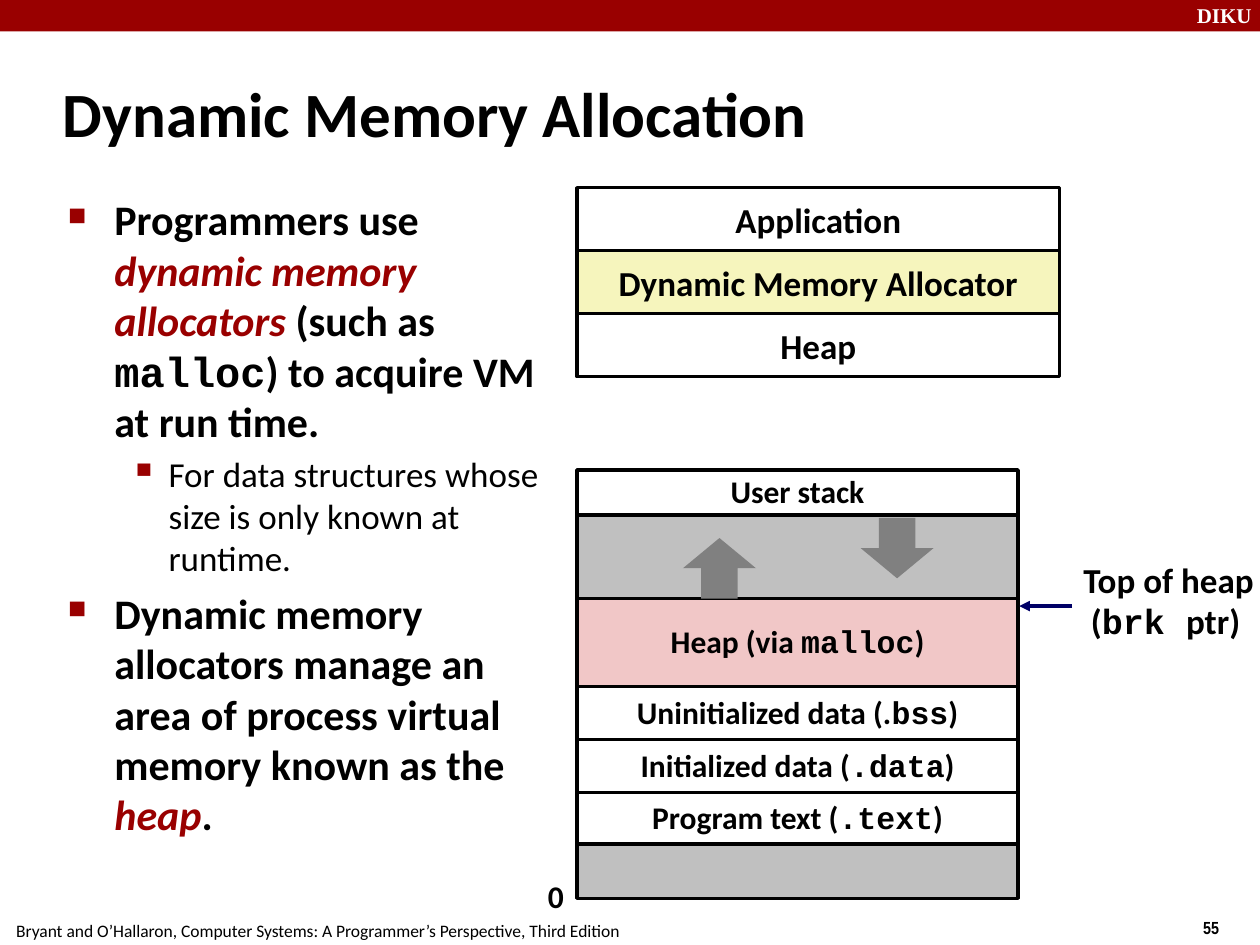
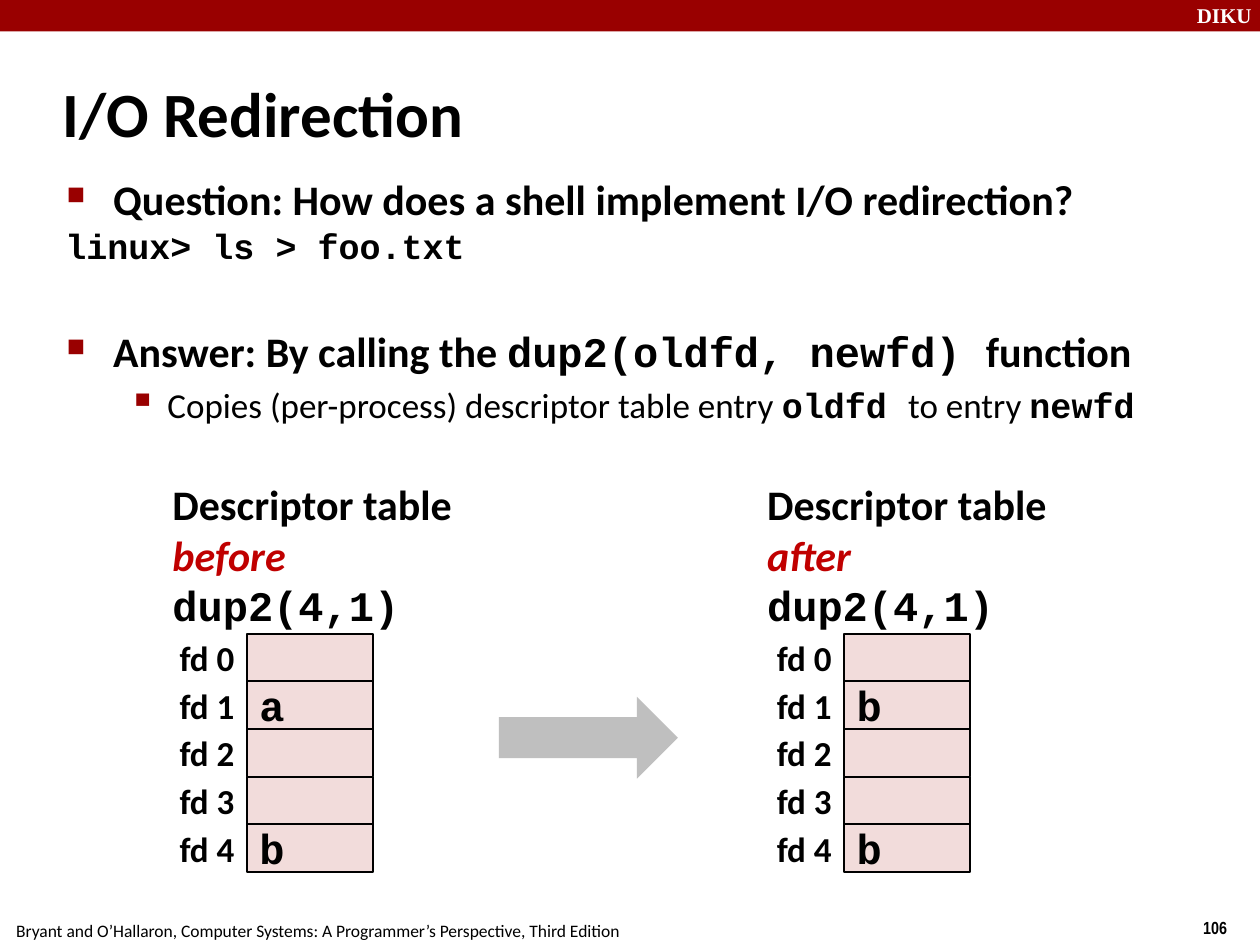
from itertools import accumulate

from lxml.etree import SubElement
from pptx import Presentation
from pptx.dml.color import RGBColor
from pptx.enum.shapes import MSO_CONNECTOR, MSO_SHAPE
from pptx.enum.text import MSO_ANCHOR, PP_ALIGN
from pptx.oxml.ns import qn
from pptx.util import Inches, Pt

RED = "990000"
ACCENT = "C00000"
BLACK = "000000"
WHITE = "FFFFFF"
GRAY = "C0C0C0"
DARK_GRAY = "808080"
ARROW_GRAY = "BFBFBF"
NAVY = "000066"
YELLOW = "F6F5BD"
PINK = "F1C7C7"
PALE_PINK = "F2DCDB"
BODY_FONT = "Calibri"
CODE_FONT = "Courier New"
FOOTER = "Bryant and O’Hallaron, Computer Systems: A Programmer’s Perspective, Third Edition"
BULLETS = [
    dict(char="■", percent=60, left=0.38, hang=0.37, size=24, bold=True, before=4.8),
    dict(char="▪", percent=110, left=0.81, hang=0.31, size=20, bold=False, before=4),
]


def color(value):
    return RGBColor.from_string(value)


def code(text, **style):
    return text, dict(font=CODE_FONT, **style)


def emphasis(text, tint=RED):
    return text, dict(tint=tint, italic=True)


def add_span(para, text, font=BODY_FONT, size=20, bold=True, italic=False, tint=BLACK):
    span = para.add_run()
    span.text = text
    span.font.name = font
    span.font.size = Pt(size)
    span.font.bold = bold
    span.font.italic = italic
    span.font.color.rgb = color(tint)


def write(para, content, align=PP_ALIGN.LEFT, spacing=None, before=0, **style):
    para.alignment = align
    para.line_spacing = spacing
    para.space_before = Pt(before)
    for piece in [content] if isinstance(content, str) else content:
        text, changes = (piece, {}) if isinstance(piece, str) else piece
        add_span(para, text, **{**style, **changes})


def set_indent(para, left, hang=0):
    properties = para._p.get_or_add_pPr()
    properties.set("marL", str(Inches(left)))
    properties.set("indent", str(-Inches(hang)))
    return properties


def add_bullet(para, content, level=0, **style):
    bullet = BULLETS[level]
    para.level = level
    properties = set_indent(para, bullet["left"], bullet["hang"])
    tint = SubElement(properties, qn("a:buClr"))
    SubElement(tint, qn("a:srgbClr")).set("val", RED)
    SubElement(properties, qn("a:buSzPct")).set("val", str(bullet["percent"] * 1000))
    SubElement(properties, qn("a:buChar")).set("char", bullet["char"])
    defaults = {name: bullet[name] for name in ("size", "bold", "before")}
    write(para, content, **{**defaults, **style})


def next_para(frame):
    return frame.add_paragraph() if frame.paragraphs[0].runs else frame.paragraphs[0]


def add_box(page, left, top, width, height, *lines, wrap=False,
            anchor=MSO_ANCHOR.TOP, **style):
    box = page.shapes.add_textbox(Inches(left), Inches(top), Inches(width), Inches(height))
    frame = box.text_frame
    frame.word_wrap = wrap
    frame.vertical_anchor = anchor
    for line in lines:
        write(next_para(frame), line, **style)
    return frame


def add_block(page, left, top, width, height, fill, content="", kind=MSO_SHAPE.RECTANGLE,
              line=0, **style):
    block = page.shapes.add_shape(kind, Inches(left), Inches(top), Inches(width), Inches(height))
    block.shadow.inherit = False
    block.fill.solid()
    block.fill.fore_color.rgb = color(fill)
    if line:
        block.line.color.rgb = color(BLACK)
        block.line.width = Pt(line)
    else:
        block.line.fill.background()
    if content:
        block.text_frame.word_wrap = False
        block.text_frame.vertical_anchor = MSO_ANCHOR.MIDDLE
        write(block.text_frame.paragraphs[0], content, **style)


def add_arrow(page, start, end):
    arrow = page.shapes.add_connector(MSO_CONNECTOR.STRAIGHT, *map(Inches, start + end))
    arrow.line.color.rgb = color(NAVY)
    arrow.line.width = Pt(2)
    SubElement(arrow.line._get_or_add_ln(), qn("a:tailEnd")).set("type", "triangle")
    SubElement(arrow._element.spPr, qn("a:effectLst"))


def add_page(deck, title, number):
    page = deck.slides.add_slide(deck.slide_layouts[6])
    add_block(page, 0, 0, 10, 0.25, RED)
    add_box(page, 9.4, -0.03, 0.67, 0.3, "DIKU", wrap=True,
            font="Times New Roman", size=12, tint=WHITE)
    add_box(page, 9.45, 7.23, 0.75, 0.29, number, font="Arial Narrow", size=10)
    add_box(page, 0.03, 7.25, 4.99, 0.26, FOOTER, size=10, bold=False)
    add_box(page, 0.4, 0.48, 8.3, 0.83, title, wrap=True, anchor=MSO_ANCHOR.MIDDLE, size=36)
    return page


def add_layers(page):
    layers = [("Application", WHITE), ("Dynamic Memory Allocator", YELLOW), ("Heap", WHITE)]
    for row, (name, fill) in enumerate(layers):
        add_block(page, 4.58, 1.49 + 0.5 * row, 3.83, 0.5, fill, name, line=2,
                  align=PP_ALIGN.CENTER)


def add_memory_map(page):
    regions = [
        (0.36, WHITE, "User stack"),
        (0.66, GRAY, ""),
        (0.7, PINK, ["Heap (via ", code("malloc"), ")"]),
        (0.42, WHITE, ["Uninitialized data (.", code("bss"), ")"]),
        (0.42, WHITE, ["Initialized data (", code(".data"), ")"]),
        (0.41, WHITE, ["Program text (", code(".text"), ")"]),
        (0.43, GRAY, ""),
    ]
    tops = accumulate((height for height, _, _ in regions), initial=3.73)
    for top, (height, fill, content) in zip(tops, regions):
        add_block(page, 4.58, top, 3.5, height, fill, content, line=2, size=18,
                  align=PP_ALIGN.CENTER, spacing=0.98)
    add_block(page, 6.83, 4.11, 0.58, 0.48, DARK_GRAY, kind=MSO_SHAPE.DOWN_ARROW)
    add_block(page, 5.42, 4.27, 0.58, 0.48, DARK_GRAY, kind=MSO_SHAPE.UP_ARROW)
    add_box(page, 4.25, 6.93, 0.32, 0.4, "0", size=18, spacing=0.98)
    heap_top = add_box(page, 8.5, 4.4, 1.55, 0.76, "Top of heap",
                       ["(", code("brk "), "ptr)"], spacing=0.98)
    set_indent(heap_top.paragraphs[1], 0.06)
    add_arrow(page, (8.51, 4.81), (8.09, 4.81))


def add_descriptor_table(page, left, caption_left, caption_width, moment, entries):
    add_box(page, caption_left, 3.95, caption_width, 0.9, "Descriptor table",
            [emphasis(moment, ACCENT), code(" dup2(4,1)")],
            anchor=MSO_ANCHOR.MIDDLE, size=24)
    pitch = 0.378
    for row in range(5):
        top = 5.03 + pitch * row
        add_block(page, left, top, 1, pitch, PALE_PINK, entries.get(row, ""), line=1,
                  font=CODE_FONT, size=24)
        add_box(page, left - 1, top, 1, pitch, f"fd {row}", anchor=MSO_ANCHOR.MIDDLE,
                align=PP_ALIGN.RIGHT)


def build_allocation(deck):
    page = add_page(deck, "Dynamic Memory Allocation", "55")
    body = add_box(page, 0.43, 1.49, 4.14, 5.44, wrap=True)
    add_bullet(next_para(body), [
        "Programmers use ", emphasis("dynamic memory allocators "), "(such as ",
        code("malloc"), ") to acquire VM at run time."], before=0)
    add_bullet(next_para(body), "For data structures whose size is only known at runtime.",
               level=1)
    add_bullet(next_para(body), [
        "Dynamic memory allocators manage an area of process virtual memory known as the ",
        emphasis("heap"), "."])
    add_layers(page)
    add_memory_map(page)


def build_redirection(deck):
    page = add_page(deck, "I/O Redirection", "106")
    body = add_box(page, 0.42, 1.33, 9.08, 2.08, wrap=True)
    add_bullet(next_para(body), "Question: How does a shell implement I/O redirection?",
               before=0)
    write(next_para(body), "linux> ls > foo.txt", font=CODE_FONT)
    add_bullet(next_para(body), [
        "Answer: By calling the ", code("dup2(oldfd, newfd) "), "function"], before=34)
    add_bullet(next_para(body), [
        "Copies (per-process) descriptor table entry ", code("oldfd ", bold=True),
        "to entry ", code("newfd", bold=True)], level=1)
    add_descriptor_table(page, 1.96, 1.27, 2.97, "before", {1: "a", 4: "b"})
    add_descriptor_table(page, 6.7, 5.99, 2.74, "after", {1: "b", 4: "b"})
    add_block(page, 3.96, 5.53, 1.42, 0.65, ARROW_GRAY, kind=MSO_SHAPE.RIGHT_ARROW)


def main():
    deck = Presentation()
    deck.slide_width = Inches(10)
    deck.slide_height = Inches(7.5)
    build_allocation(deck)
    build_redirection(deck)
    deck.save("out.pptx")


if __name__ == "__main__":
    main()
